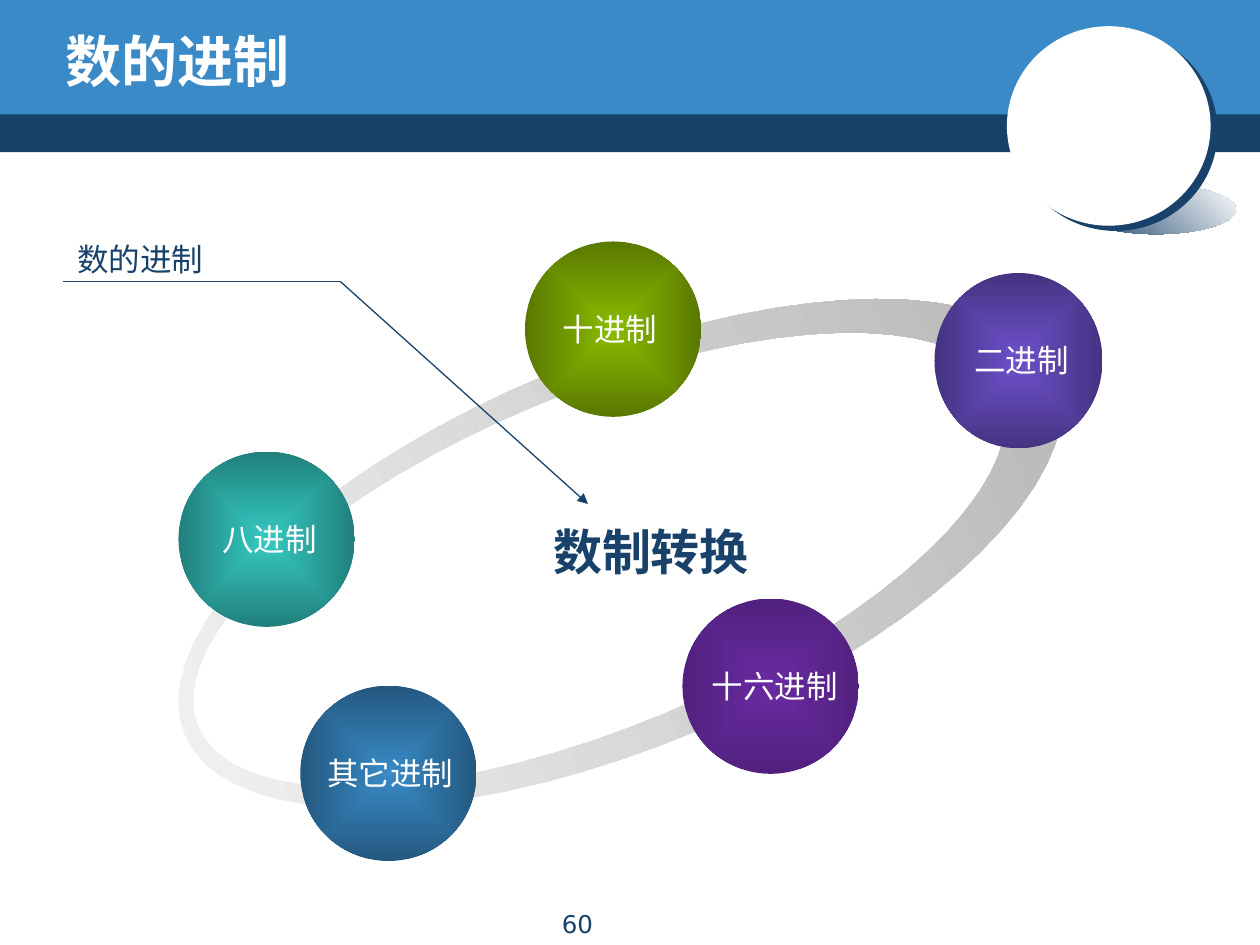
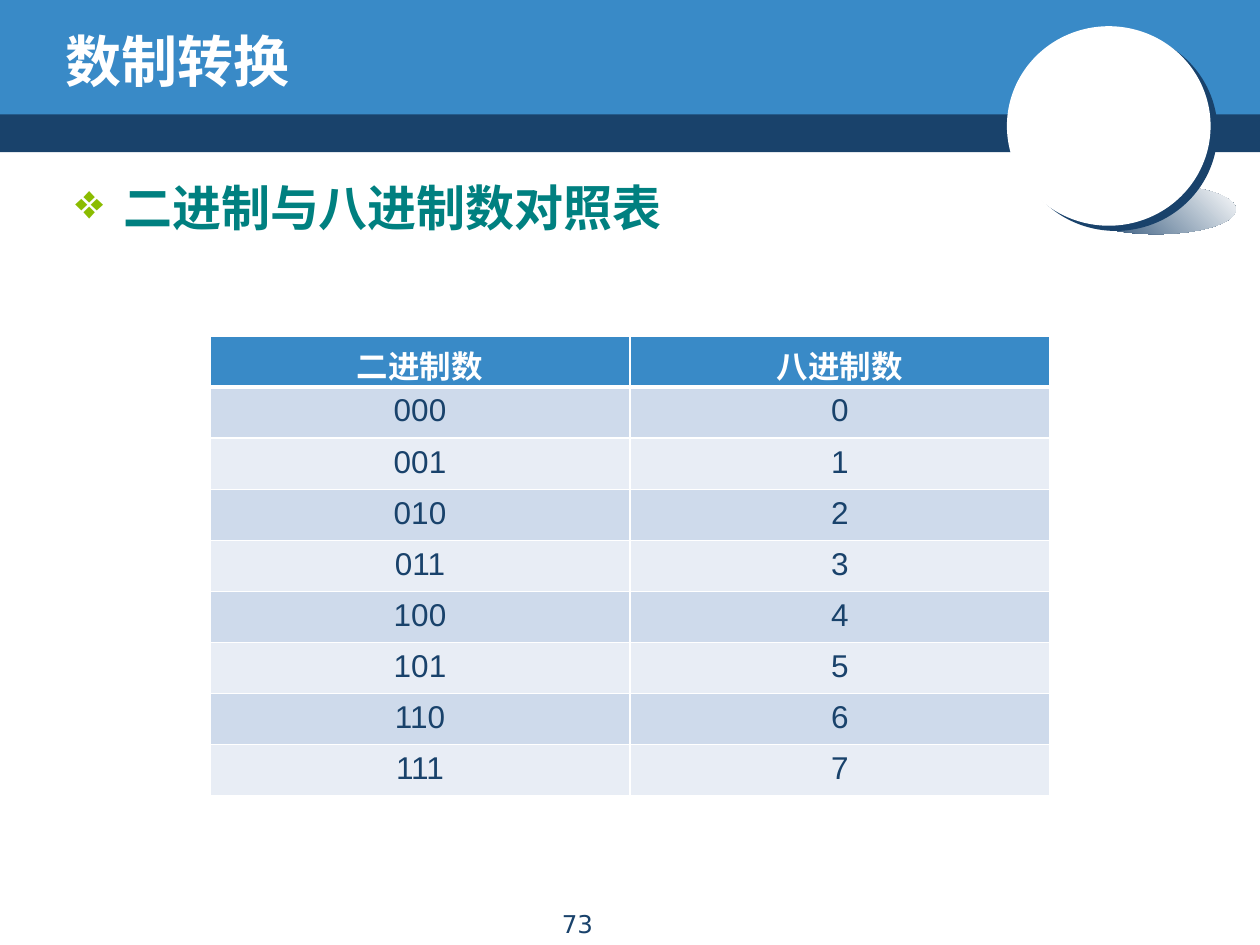
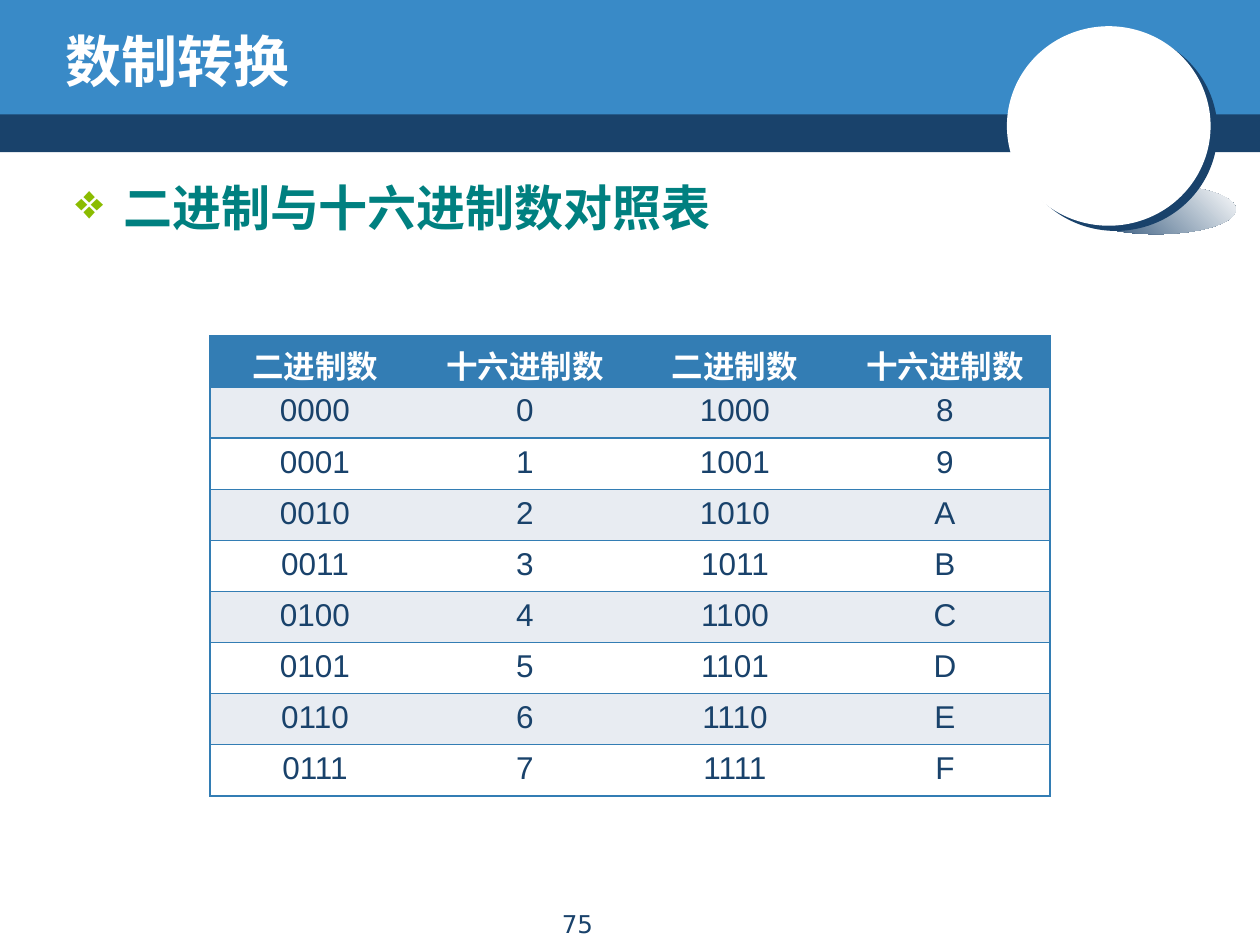
import math
from lxml import etree
from pptx import Presentation
from pptx import util as u
from pptx.dml.color import RGBColor
from pptx.enum import shapes, text
from pptx.oxml import ns

NAVY = RGBColor(0x19, 0x42, 0x6B)
BLUE = RGBColor(0x39, 0x8A, 0xC7)
WHITE = RGBColor(0xFF, 0xFF, 0xFF)
GREEN = RGBColor(0x8B, 0xBC, 0x00)
TEAL = RGBColor(0x35, 0xC9, 0xC2)
PURPLE = RGBColor(0x69, 0x2A, 0xA2)
VIOLET = RGBColor(0x6D, 0x50, 0xCA)
HEADING = RGBColor(0x00, 0x80, 0x80)
PALE_GREY = RGBColor(0xF7, 0xF7, 0xF7)
GREY = RGBColor(0xB2, 0xB2, 0xB2)
BAND_DARK = RGBColor(0xCE, 0xDA, 0xEB)
BAND_LIGHT = RGBColor(0xE8, 0xED, 0xF5)
STEEL = RGBColor(0x33, 0x7D, 0xB4)
MIST = RGBColor(0xE8, 0xEC, 0xF2)

COLUMNS, ROWS = 120, 90
LEFT, CENTER = text.PP_ALIGN.LEFT, text.PP_ALIGN.CENTER
RECT, OVAL = shapes.MSO_SHAPE.RECTANGLE, shapes.MSO_SHAPE.OVAL
PLAIN_TABLE = "{2D5ABB26-0587-4C30-8999-92F81FD0307C}"

TITLE = {"name": "Comic Neue", "size": u.Pt(32), "bold": True}
TOPIC = {"name": "Comic Neue", "size": u.Pt(28), "bold": True}
CORE = {"name": "Arial", "size": u.Pt(28), "bold": True}
LABEL = {"name": "DejaVu Sans", "size": u.Pt(18)}
PAGE = {"name": "DejaVu Sans", "size": u.Pt(14)}
HEAD = {"name": "Arial", "size": u.Pt(18), "bold": True}
CELL = {"name": "Arial", "size": u.Pt(18), "bold": False}


def assign(target, values):
    for name, value in values.items():
        setattr(target, name, value)


def sub(parent, tag, **attrs):
    return etree.SubElement(parent, ns.qn(tag), attrs)


class Deck:
    def __init__(self):
        self.prs = Presentation()
        assign(self.prs, {"slide_width": u.Inches(10), "slide_height": u.Inches(7.5)})
        self.s = None

    def x(self, columns):
        return u.Emu(round(self.prs.slide_width * columns / COLUMNS))

    def y(self, rows):
        return u.Emu(round(self.prs.slide_height * rows / ROWS))

    def box(self, left, top, width, height):
        return self.x(left), self.y(top), self.x(width), self.y(height)

    def slide(self, title, page):
        self.s = self.prs.slides.add_slide(self.prs.slide_layouts[5])
        self.shape(RECT, (0, 10.4, 120, 4.1), NAVY)
        self.shape(RECT, (0, 0, 120, 10.9), BLUE)
        self.shape(OVAL, (102.5, 17.6, 15.2, 4.7), (NAVY, WHITE), angle=45)
        disc = self.shape(OVAL, (95.9, 2.5, 19.4, 19), WHITE)
        effects = disc._element.spPr.find(ns.qn("a:effectLst"))
        shadow = sub(effects, "a:outerShdw", dist=str(u.Pt(5)), dir=str(37 * 60000),
                     algn="ctr", rotWithShape="0")
        sub(shadow, "a:srgbClr", val=str(NAVY))

        sp = self.s.shapes.title
        self.s.shapes._spTree.append(sp._element)
        assign(sp, dict(zip(("left", "top", "width", "height"), self.box(5, 2, 97, 7.4))))
        assign(sp.text_frame, {"vertical_anchor": text.MSO_ANCHOR.MIDDLE,
                               "auto_size": text.MSO_AUTO_SIZE.NONE})
        self.put_text(sp.text_frame, title, TITLE, WHITE)
        self.text(page, (41, 86, 28, 3.1), PAGE, NAVY, CENTER)

    def put_text(self, tf, words, fmt, color, align=LEFT):
        p = tf.paragraphs[0]
        p.alignment = align
        r = p.add_run()
        r.text = words
        assign(r.font, fmt)
        r.font.color.rgb = color
        return p

    def text(self, words, place, fmt, color, align=LEFT, wrap=True):
        tf = self.s.shapes.add_textbox(*self.box(*place)).text_frame
        tf.word_wrap = wrap
        return self.put_text(tf, words, fmt, color, align)

    def label(self, words, left, top, color):
        self.text(words, (left, top, 3 * len(words) + 2.5, 4.8), LABEL, color, wrap=False)

    def topic(self, words):
        p = self.text(words, (6, 16.3, 108, 68.9), TOPIC, HEADING)
        props = p._p.get_or_add_pPr()
        indent = u.Inches(0.38)
        props.set("marL", str(indent))
        props.set("indent", str(-indent))
        sub(sub(props, "a:buClr"), "a:srgbClr", val=str(GREEN))
        sub(props, "a:buChar", char="❖")

    def paint(self, sp, fill, angle=0):
        sp.shadow.inherit = False
        sp.line.fill.background()
        if isinstance(fill, tuple) and not isinstance(fill, RGBColor):
            sp.fill.gradient()
            sp.fill.gradient_angle = angle
            for stop, color in zip(sp.fill.gradient_stops, fill):
                stop.color.rgb = color
        else:
            sp.fill.solid()
            sp.fill.fore_color.rgb = fill
        return sp

    def shape(self, kind, place, fill, angle=0):
        return self.paint(self.s.shapes.add_shape(kind, *self.box(*place)), fill, angle)

    def ball(self, place, color, shade):
        sp = self.shape(OVAL, place, (color, color))
        grad = sp._element.spPr.find(ns.qn("a:gradFill"))
        edge = grad.findall(".//" + ns.qn("a:srgbClr"))[-1]
        sub(edge, "a:shade", val=str(shade * 1000))
        lin = grad.find(ns.qn("a:lin"))
        radial = etree.Element(ns.qn("a:path"), {"path": "shape"})
        sub(radial, "a:fillToRect", **dict.fromkeys("ltrb", "50000"))
        grad.replace(lin, radial)

    def ellipse_points(self, cx, cy, rx, ry, count=72):
        turns = [2 * math.pi * i / count for i in range(count)]
        return [(self.x(cx + rx * math.cos(t)), self.y(cy + ry * math.sin(t))) for t in turns]

    def ring(self, outer, inner, rotation):
        rim, hole = self.ellipse_points(*outer), self.ellipse_points(*inner)
        builder = self.s.shapes.build_freeform(*rim[0])
        builder.add_line_segments(rim[1:], close=True)
        builder.move_to(*hole[0])
        builder.add_line_segments(hole[1:], close=True)
        sp = self.paint(builder.convert_to_shape(), (PALE_GREY, GREY))
        sp.rotation = rotation

    def line(self, start, end, arrow=False):
        sp = self.s.shapes.add_connector(shapes.MSO_CONNECTOR.STRAIGHT,
                                         self.x(start[0]), self.y(start[1]),
                                         self.x(end[0]), self.y(end[1]))
        sp.line.color.rgb = NAVY
        sp.line.width = u.Pt(0.75)
        if arrow:
            sub(sp.line._ln, "a:tailEnd", type="triangle")
        sub(sp._element.spPr, "a:effectLst")

    def borders(self, cell, color, widths):
        props = cell._tc.get_or_add_tcPr()
        for i, (side, width) in enumerate(widths.items()):
            ln = etree.Element(ns.qn("a:ln" + side), {"w": str(u.Pt(width))})
            if width:
                sub(sub(ln, "a:solidFill"), "a:srgbClr", val=str(color))
            else:
                sub(ln, "a:noFill")
            props.insert(i, ln)

    def table(self, rows, head_fill, bands, edge, inner_lines, head_rule):
        n, m = len(rows), len(rows[0])
        tb = self.s.shapes.add_table(n, m, *self.box(20, 32, 80, 43.8)).table
        assign(tb, {"first_row": False, "horz_banding": False})
        tb._tbl.tblPr.find(ns.qn("a:tableStyleId")).text = PLAIN_TABLE
        for i, row in enumerate(rows):
            for j, words in enumerate(row):
                cell = tb.cell(i, j)
                cell.fill.solid()
                cell.fill.fore_color.rgb = bands[(i - 1) % 2] if i else head_fill
                self.put_text(cell.text_frame, words, CELL if i else HEAD,
                              NAVY if i else WHITE, CENTER)
                self.borders(cell, edge, {
                    "L": 1 if j == 0 else inner_lines,
                    "R": 1 if j == m - 1 else inner_lines,
                    "T": head_rule if i == 1 else 1,
                    "B": head_rule if i == 0 else 1})


def number_systems(deck):
    deck.slide("数的进制", "60")
    deck.ring((59.1, 52.7, 44.95, 18.4), (57, 52.5, 41.4, 15.9), 337.4)
    balls = [
        ("十进制", 50, 23, 16.8, 2.4, GREEN, 36),
        ("八进制", 17, 43, 16.8, 3, TEAL, 36),
        ("其它进制", 28.6, 65.3, 16.8, 1.4, BLUE, 36),
        ("十六进制", 65, 57, 16.8, 1.6, PURPLE, 58),
        ("二进制", 89, 26, 16, 2.6, VIOLET, 36),
    ]
    for name, left, top, width, inset, color, shade in balls:
        deck.ball((left, top, width, 16.7), color, shade)
        deck.label(name, left + inset, top + 5.9, WHITE)
    deck.text("数制转换", (45, 49.1, 34, 6.8), CORE, NAVY, CENTER)
    corner = (32.4, 26.8)
    deck.line(corner, (56, 48), arrow=True)
    deck.line(corner, (6, 26.8))
    deck.label("数的进制", 6.2, 22.3, NAVY)


def octal_table(deck):
    deck.slide("数制转换", "73")
    deck.topic("二进制与八进制数对照表")
    rows = [("二进制数", "八进制数")] + [(f"{i:03b}", f"{i:o}") for i in range(8)]
    deck.table(rows, BLUE, (BAND_DARK, BAND_LIGHT), WHITE, inner_lines=1, head_rule=3)


def hex_table(deck):
    deck.slide("数制转换", "75")
    deck.topic("二进制与十六进制数对照表")
    rows = [("二进制数", "十六进制数") * 2]
    rows += [(f"{i:04b}", f"{i:X}", f"{i + 8:04b}", f"{i + 8:X}") for i in range(8)]
    deck.table(rows, STEEL, (MIST, WHITE), STEEL, inner_lines=0, head_rule=1)


def main():
    deck = Deck()
    for build in (number_systems, octal_table, hex_table):
        build(deck)
    deck.prs.save("out.pptx")


if __name__ == "__main__":
    main()
